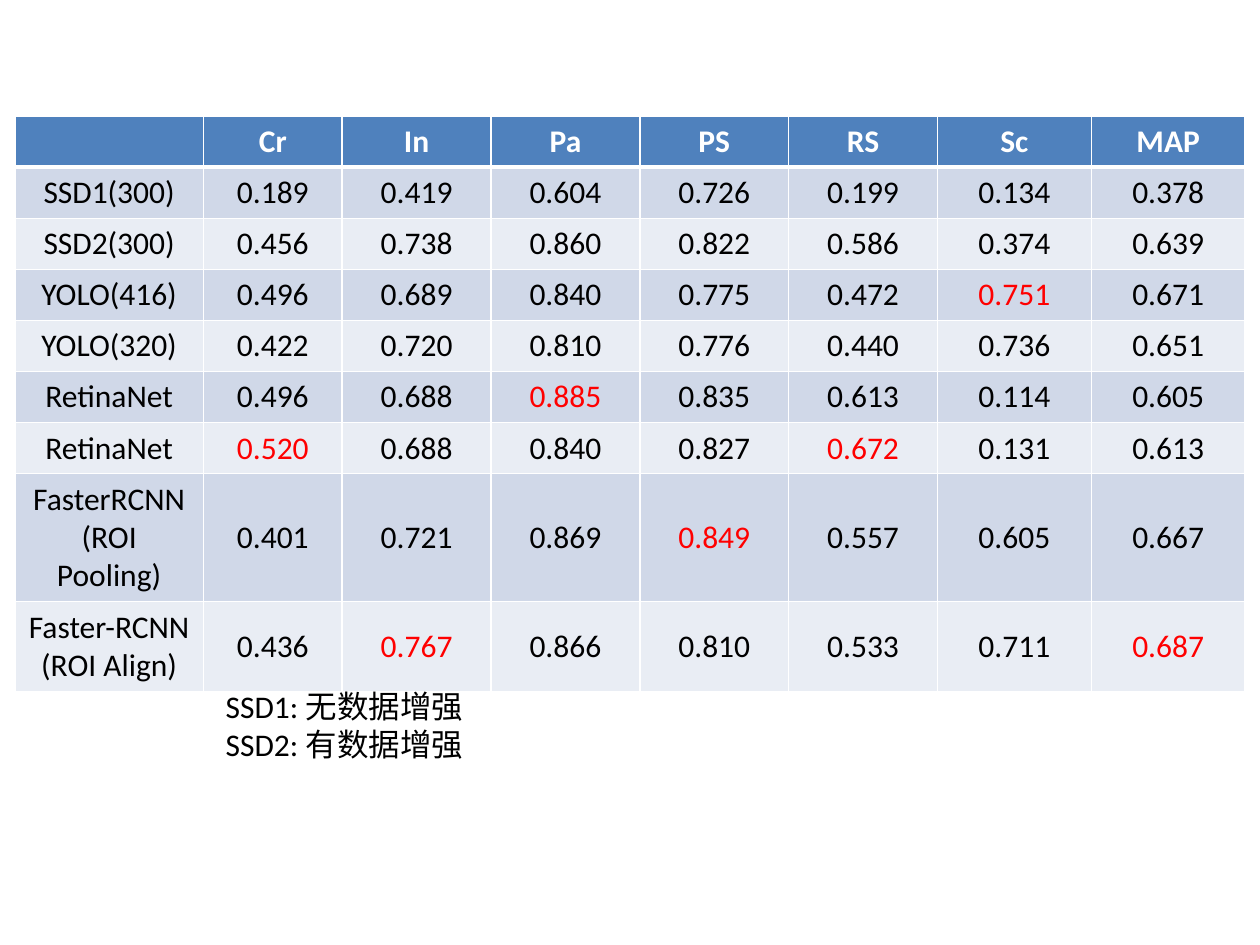
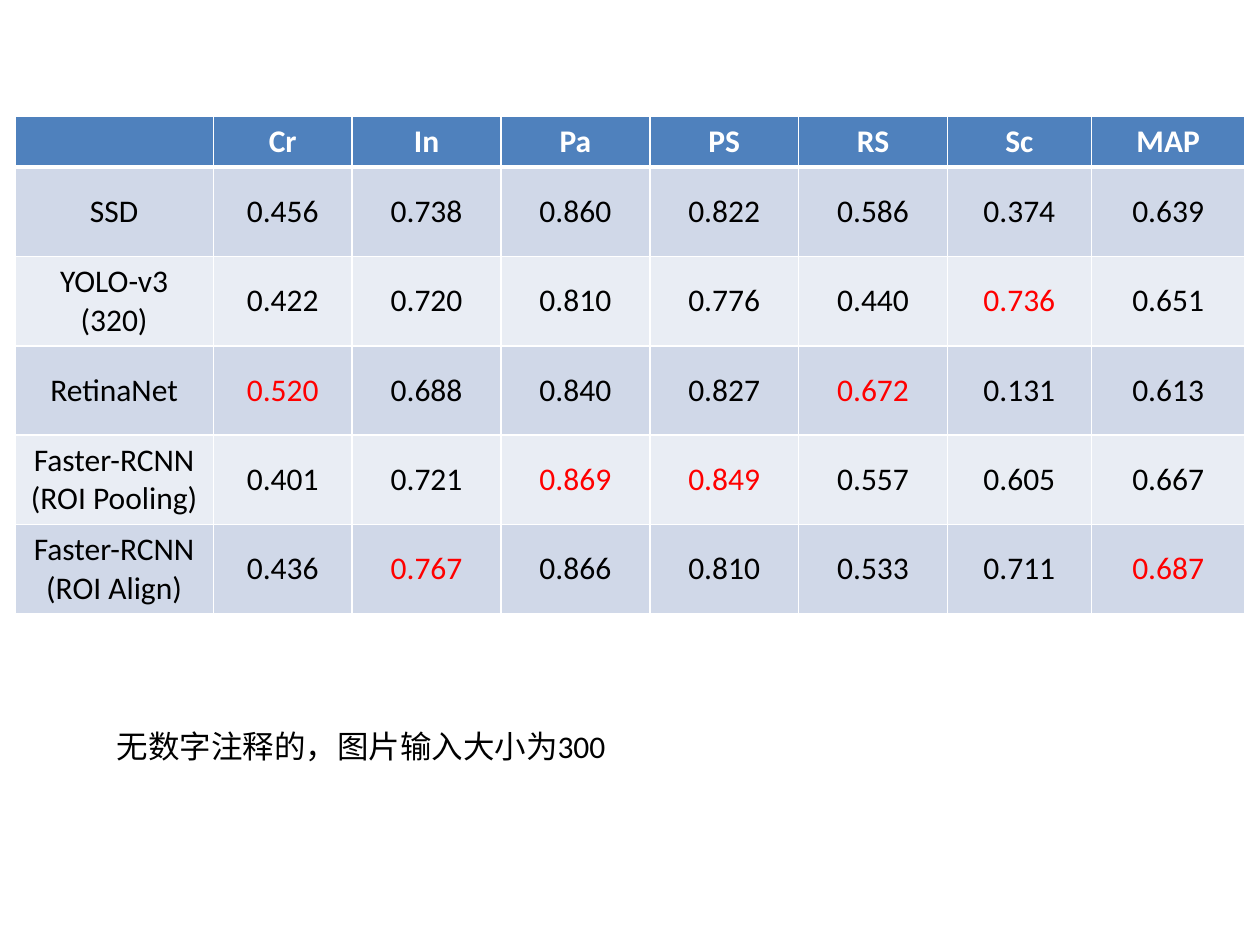
from dataclasses import dataclass

from lxml.etree import SubElement
from pptx import Presentation
from pptx.dml.color import RGBColor
from pptx.enum.text import MSO_ANCHOR, MSO_AUTO_SIZE, PP_ALIGN
from pptx.oxml.ns import qn
from pptx.util import Cm, Pt


@dataclass(frozen=True)
class Theme:
    font: str = "Calibri"
    size: int = 18
    text: str = "000000"
    best: str = "FF0000"
    header: str = "4F81BD"
    header_text: str = "FFFFFF"
    bands: tuple = ("D0D8E8", "E9EDF4")
    border: str = "FFFFFF"
    border_width: int = 1
    header_border_width: int = 3


CLASSES = ["Cr", "In", "Pa", "PS", "RS", "Sc", "MAP"]

SSD_PLAIN = "0.189 0.419 0.604 0.726 0.199 0.134 0.378".split()
SSD_AUGMENTED = "0.456 0.738 0.860 0.822 0.586 0.374 0.639".split()
YOLO_416 = "0.496 0.689 0.840 0.775 0.472 0.751 0.671".split()
YOLO_320 = "0.422 0.720 0.810 0.776 0.440 0.736 0.651".split()
RETINANET_FIRST = "0.496 0.688 0.885 0.835 0.613 0.114 0.605".split()
RETINANET_SECOND = "0.520 0.688 0.840 0.827 0.672 0.131 0.613".split()
ROI_POOLING = "0.401 0.721 0.869 0.849 0.557 0.605 0.667".split()
ROI_ALIGN = "0.436 0.767 0.866 0.810 0.533 0.711 0.687".split()

ALL_RUNS = [
    ("SSD1(300)", SSD_PLAIN),
    ("SSD2(300)", SSD_AUGMENTED),
    ("YOLO(416)", YOLO_416),
    ("YOLO(320)", YOLO_320),
    ("RetinaNet", RETINANET_FIRST),
    ("RetinaNet", RETINANET_SECOND),
    ("FasterRCNN\n(ROI Pooling)", ROI_POOLING),
    ("Faster-RCNN\n(ROI Align)", ROI_ALIGN),
]
FINAL_MODELS = [
    ("SSD", SSD_AUGMENTED),
    ("YOLO-v3\n(320)", YOLO_320),
    ("RetinaNet", RETINANET_SECOND),
    ("Faster-RCNN\n(ROI Pooling)", ROI_POOLING),
    ("Faster-RCNN\n(ROI Align)", ROI_ALIGN),
]


def write_text(frame, text, *, theme, color, bold=False, align=PP_ALIGN.LEFT):
    """Fill a text frame, one paragraph for each line of text."""
    frame.text = text
    for paragraph in frame.paragraphs:
        paragraph.alignment = align
        font = paragraph.font
        font.name, font.size, font.bold = theme.font, Pt(theme.size), bold
        font.color.rgb = RGBColor.from_string(color)
        for run in paragraph.runs:
            run.font.name, run.font.size, run.font.bold = theme.font, Pt(theme.size), bold
            run.font.color.rgb = RGBColor.from_string(color)


def set_borders(cell, color, widths):
    """Draw the left, right, top and bottom borders, widths in points."""
    properties = cell._tc.get_or_add_tcPr()
    for side, width in zip("LRTB", widths):
        line = SubElement(properties, qn(f"a:ln{side}"), w=str(Pt(width)))
        fill = SubElement(line, qn("a:solidFill"))
        SubElement(fill, qn("a:srgbClr"), val=color)


class Deck:
    def __init__(self, theme):
        self.theme = theme
        self.presentation = Presentation()
        self.presentation.slide_width = Cm(25.4)
        self.presentation.slide_height = Cm(19.05)
        self.slide = None

    def add_slide(self):
        self.slide = self.presentation.slides.add_slide(self.presentation.slide_layouts[6])

    def fill_cell(self, cell, text, row, color, bold=False):
        theme = self.theme
        thin, thick = theme.border_width, theme.header_border_width
        top = thick if row == 1 else thin
        bottom = thick if row == 0 else thin
        set_borders(cell, theme.border, (thin, thin, top, bottom))
        cell.fill.solid()
        fill = theme.bands[(row - 1) % 2] if row else theme.header
        cell.fill.fore_color.rgb = RGBColor.from_string(fill)
        cell.vertical_anchor = MSO_ANCHOR.MIDDLE
        write_text(cell.text_frame, text, theme=theme, color=color, bold=bold,
                   align=PP_ALIGN.CENTER)

    def score_table(self, results, column_widths, tall_rows=False):
        """Add a table of scores; the best score of each class is highlighted."""
        theme = self.theme
        heights = [1.03] + [1.8 if tall_rows or "\n" in name else 1.03
                            for name, scores in results]
        table = self.slide.shapes.add_table(
            len(heights), len(column_widths), Cm(0.3), Cm(2.34),
            Cm(sum(column_widths)), Cm(sum(heights))).table
        table.horz_banding = False
        for column, width in zip(table.columns, column_widths):
            column.width = Cm(width)
        for table_row, height in zip(table.rows, heights):
            table_row.height = Cm(height)

        for column, title in enumerate(["", *CLASSES]):
            self.fill_cell(table.cell(0, column), title, 0, theme.header_text, bold=True)
        best_scores = [max(column, key=float) for column in zip(*(s for _, s in results))]
        for row, (name, scores) in enumerate(results, start=1):
            self.fill_cell(table.cell(row, 0), name, row, theme.text)
            for column, (score, best) in enumerate(zip(scores, best_scores), start=1):
                color = theme.best if score == best else theme.text
                self.fill_cell(table.cell(row, column), score, row, color)

    def note(self, text, left, top, height):
        box = self.slide.shapes.add_textbox(Cm(left), Cm(top), Cm(14.2), Cm(height))
        box.text_frame.word_wrap = True
        box.text_frame.auto_size = MSO_AUTO_SIZE.SHAPE_TO_FIT_TEXT
        write_text(box.text_frame, text, theme=self.theme, color=self.theme.text)


def main():
    deck = Deck(Theme())

    deck.add_slide()
    deck.score_table(ALL_RUNS, [3.8, 2.8, 3, 3, 3, 3, 3.1, 3.1])
    deck.note("SSD1: 无数据增强\nSSD2: 有数据增强", 4.3, 13.72, 1.8)

    deck.add_slide()
    deck.score_table(FINAL_MODELS, [4, 2.8, 3, 3, 3, 3, 2.9, 3.1], tall_rows=True)
    deck.note("无数字注释的，图片输入大小为300", 2.1, 14.53, 1.03)

    deck.presentation.save("out.pptx")


if __name__ == "__main__":
    main()
